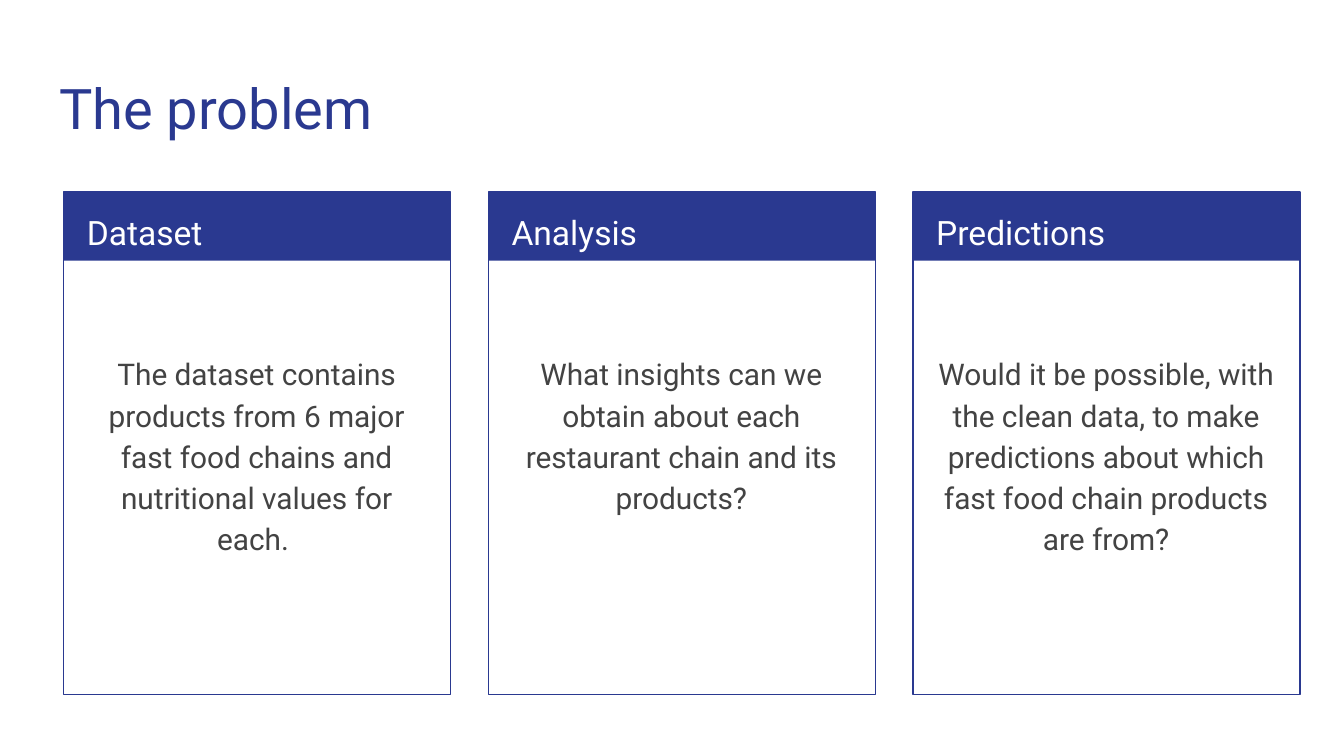
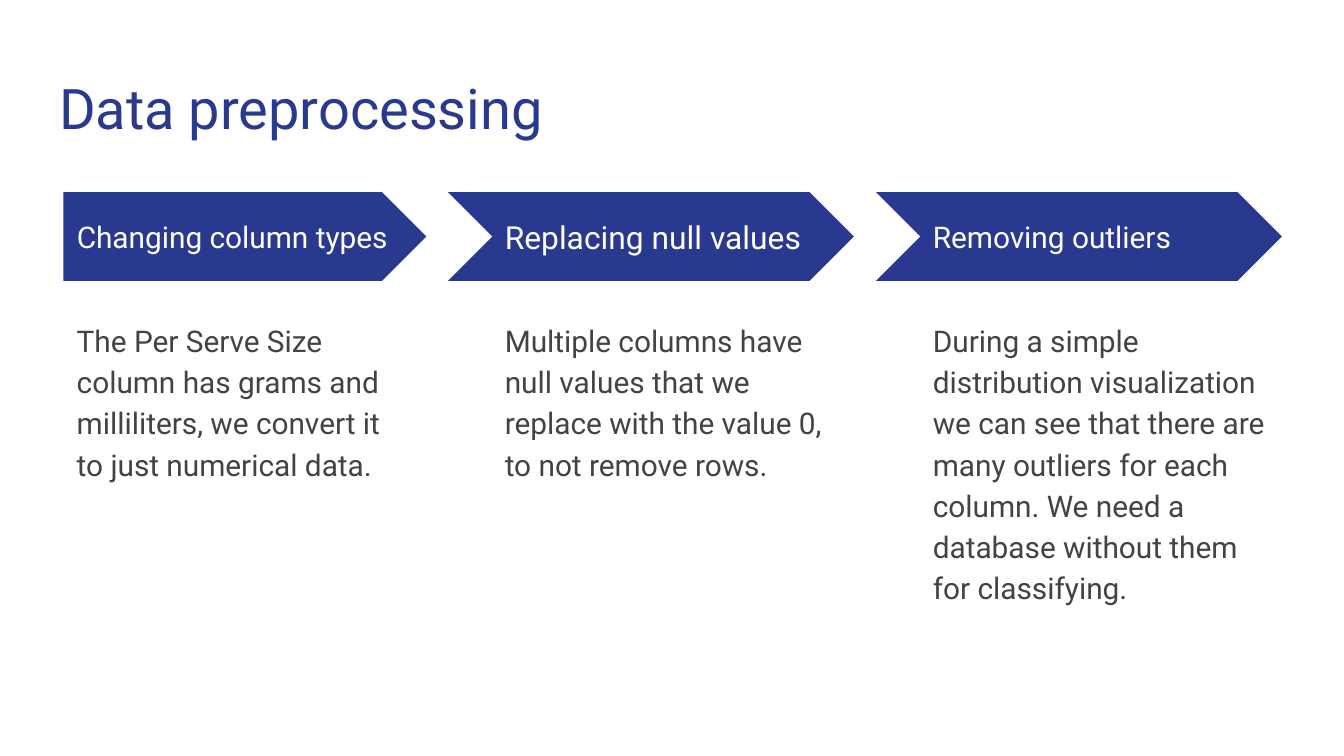
from pptx import Presentation
from pptx.dml.color import RGBColor
from pptx.enum.shapes import MSO_SHAPE
from pptx.enum.text import MSO_ANCHOR, MSO_AUTO_SIZE, PP_ALIGN
from pptx.util import Inches, Pt

# Shared style, on a 16:9 slide
WIDTH = Inches(10)
HEIGHT = WIDTH * 9 // 16
NAVY, GREY, WHITE = "2A3990", "434343", "FFFFFF"
FONT = "Roboto"
INSET = Inches(0.1)

# Shared layout, in percent of the slide's width or height
LEFT, BAND_TOP = 4.73, 25.42
CARD_PITCH, CARD_WIDTH = 31.6, 28.8
STEP_PITCH, STEP_WIDTH = 31.85, 27
CHEVRON_TAIL, CHEVRON_WIDTH = 3.25, 30.2

CARDS = [
    ("Dataset", "The dataset contains products from 6 major fast food chains "
                "and nutritional values for each. "),
    ("Analysis", "What insights can we obtain about each restaurant chain "
                 "and its products?"),
    ("Predictions", "Would it be possible, with the clean data, to make predictions "
                    "about which fast food chain products are from?"),
]
STEPS = [
    ("Changing column types", 16,
     "The Per Serve Size column has grams and milliliters, "
     "we convert it to just numerical data."),
    ("Replacing null values", 17,
     "Multiple columns have null values that we replace with the value 0, "
     "to not remove rows."),
    ("Removing outliers", 16,
     "During a simple distribution visualization we can see that there are many "
     "outliers for each column. We need a database without them for classifying."),
]


def color(value):
    return RGBColor.from_string(value)


def area(left, top, width, height):
    """Turn percentages of the slide into a position and a size."""
    return (int(WIDTH * left / 100), int(HEIGHT * top / 100),
            int(WIDTH * width / 100), int(HEIGHT * height / 100))


def apply(target, values):
    for name, value in values.items():
        setattr(target, name, value)


def write(shape, text, size, ink, frame_format=None, paragraph_format=None):
    """Put one formatted paragraph into a placeholder or text box."""
    frame = shape.text_frame
    apply(frame, {
        "word_wrap": True, "auto_size": MSO_AUTO_SIZE.NONE,
        "vertical_anchor": MSO_ANCHOR.TOP,
        "margin_left": INSET, "margin_right": INSET,
        "margin_top": INSET, "margin_bottom": INSET,
        **(frame_format or {}),
    })
    paragraph = frame.paragraphs[0]
    apply(paragraph, {"alignment": PP_ALIGN.LEFT, **(paragraph_format or {})})
    run = paragraph.add_run()
    run.text = text
    apply(run.font, {"name": FONT, "size": Pt(size)})
    run.font.color.rgb = color(ink)


def add_text(slide, place, *content, **formats):
    write(slide.shapes.add_textbox(*area(*place)), *content, **formats)


def add_block(shapes, kind, place, fill=None, line=None):
    shape = shapes.add_shape(kind, *area(*place))
    shape.shadow.inherit = False
    if fill:
        shape.fill.solid()
        shape.fill.fore_color.rgb = color(fill)
    else:
        shape.fill.background()
    if line:
        shape.line.color.rgb = color(line)
        shape.line.width = Pt(0.75)
    else:
        shape.line.fill.background()


def add_titled_slide(presentation, text):
    slide = presentation.slides.add_slide(presentation.slide_layouts[5])
    title = slide.shapes.title
    apply(title, dict(zip(("left", "top", "width", "height"),
                          area(3.4, 8, 93.2, 11.73))))
    write(title, text, 30, NAVY)
    return slide


def add_card(slide, column, heading, body):
    left = LEFT + column * CARD_PITCH
    # Header band and frame
    group = slide.shapes.add_group_shape()
    add_block(group.shapes, MSO_SHAPE.RECTANGLE,
              (left, BAND_TOP, CARD_WIDTH, 9.07), fill=NAVY)
    add_block(group.shapes, MSO_SHAPE.RECTANGLE,
              (left, BAND_TOP, CARD_WIDTH, 66.49), line=NAVY)
    # Heading and centred text
    add_text(slide, (left + 0.75, BAND_TOP, 27.3, 8.89), heading, 18, WHITE,
             paragraph_format={"line_spacing": 1.15})
    add_text(slide, (left + 0.82, 35.91, 27.1, 54.4), body, 16, GREY,
             frame_format={"margin_top": Inches(0.59)},
             paragraph_format={"line_spacing": 1.15, "alignment": PP_ALIGN.CENTER})


def add_step(slide, column, heading, heading_size, body):
    left = LEFT + column * STEP_PITCH
    # The first arrow has a flat start; the others reach back to the one before
    if column == 0:
        kind, tail, width, heading_width = MSO_SHAPE.PENTAGON, 0, STEP_WIDTH, 25.8
    else:
        kind, tail, width, heading_width = (
            MSO_SHAPE.CHEVRON, CHEVRON_TAIL, CHEVRON_WIDTH, 24.7)
    add_block(slide.shapes, kind, (left - tail, BAND_TOP, width, 11.73), fill=NAVY)
    add_text(slide, (left, 28.27, heading_width, 6.04), heading, heading_size, WHITE,
             frame_format={"vertical_anchor": MSO_ANCHOR.MIDDLE})
    add_text(slide, (left, 40.2, STEP_WIDTH, 51.56), body, 16, GREY,
             paragraph_format={"line_spacing": 1.15})


def main():
    presentation = Presentation()
    apply(presentation, {"slide_width": WIDTH, "slide_height": HEIGHT})

    # Three question cards
    slide = add_titled_slide(presentation, "The problem")
    for column, card in enumerate(CARDS):
        add_card(slide, column, *card)

    # Three process steps
    slide = add_titled_slide(presentation, "Data preprocessing")
    for column, step in enumerate(STEPS):
        add_step(slide, column, *step)

    presentation.save("out.pptx")


if __name__ == "__main__":
    main()
